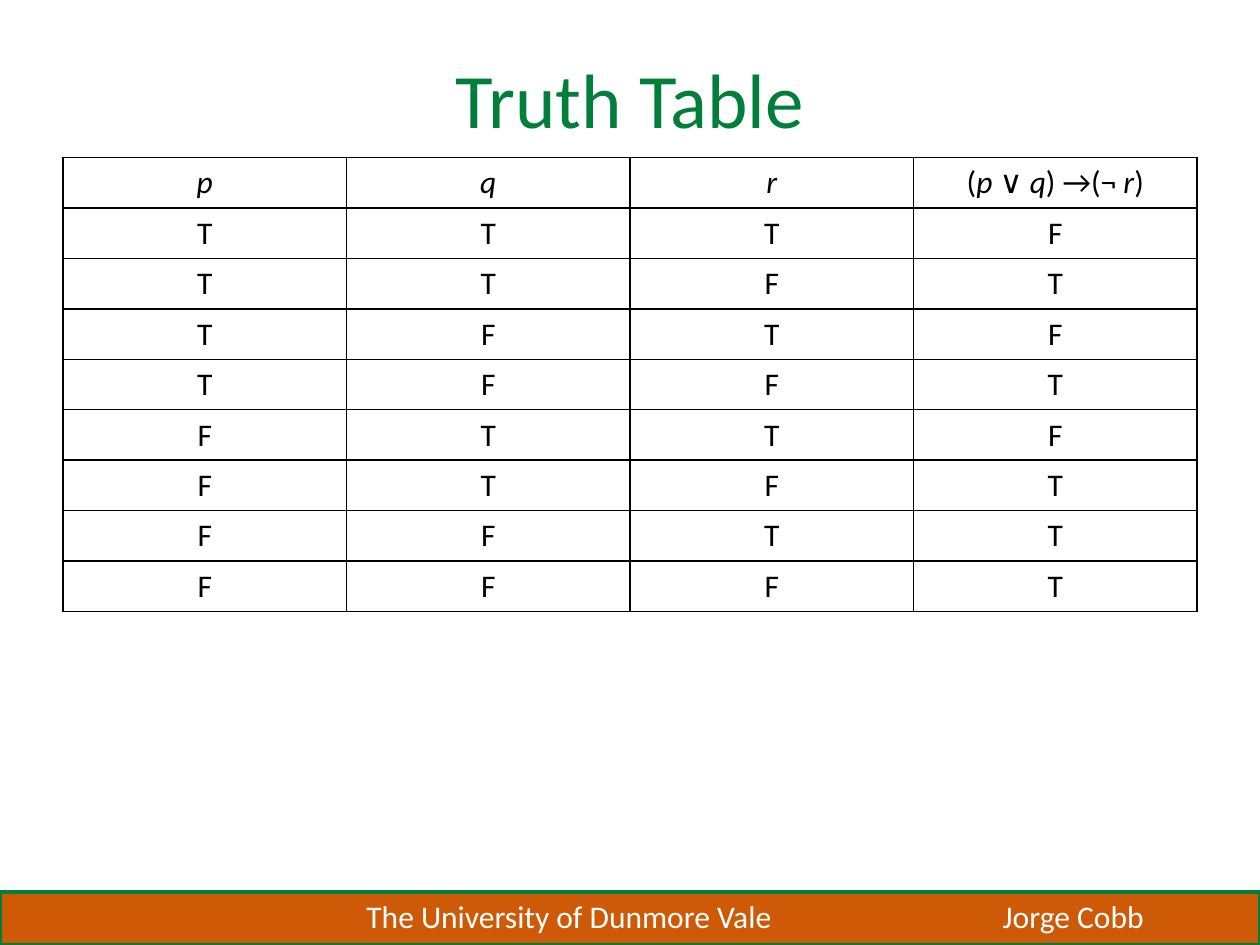
from dataclasses import dataclass
from itertools import groupby, product

from lxml import etree
from pptx import Presentation
from pptx import util as u
from pptx.dml.color import RGBColor
from pptx.enum import shapes, text
from pptx.oxml.ns import qn

GREEN = RGBColor(0x00, 0x7E, 0x3A)
ORANGE = RGBColor(0xCE, 0x5A, 0x08)
WHITE = RGBColor(0xFF, 0xFF, 0xFF)
BLACK = RGBColor(0x00, 0x00, 0x00)

WIDTH, HEIGHT = u.Inches(10), u.Inches(7.5)
MARGIN = u.Inches(0.5)
TABLE_TOP, ROW_HEIGHT = u.Inches(1.25), u.Inches(0.4)
BAR_HEIGHT = u.Inches(0.42)
HEADERS = ("p", "q", "r", "(p ∨ q) →(¬ r)")


@dataclass(frozen=True)
class Label:
    """A text box; lengths are in inches."""
    words: str
    left: float
    top: float
    width: float
    height: float
    size: int
    color: RGBColor
    align: text.PP_ALIGN = text.PP_ALIGN.LEFT
    anchor: text.MSO_ANCHOR = text.MSO_ANCHOR.TOP
    wrap: bool = False


LABELS = (
    Label("The University of Dunmore Vale", 2.81, 7.07, 3.47, 0.4, 18, WHITE),
    Label("Jorge Cobb", 7.86, 7.07, 1.34, 0.4, 18, WHITE),
    Label("Truth Table", 0.5, 0.3, 9, 0.95, 44, GREEN,
          text.PP_ALIGN.CENTER, text.MSO_ANCHOR.MIDDLE, True),
)


def add_span(para, words: str, size: int, color: RGBColor, italic: bool = False) -> None:
    span = para.add_run()
    span.text = words
    formats = {"name": "Calibri", "size": u.Pt(size), "italic": italic}
    for name, value in formats.items():
        setattr(span.font, name, value)
    span.font.color.rgb = color


def add_label(page, label: Label) -> None:
    place = (label.left, label.top, label.width, label.height)
    frame = page.shapes.add_textbox(*map(u.Inches, place)).text_frame
    formats = {"word_wrap": label.wrap, "vertical_anchor": label.anchor}
    for name, value in formats.items():
        setattr(frame, name, value)
    para = frame.paragraphs[0]
    para.alignment = label.align
    add_span(para, label.words, label.size, label.color)


def add_footer_bar(page) -> None:
    bar = page.shapes.add_shape(
        shapes.MSO_SHAPE.RECTANGLE, 0, HEIGHT - BAR_HEIGHT, WIDTH, BAR_HEIGHT)
    bar.shadow.inherit = False
    bar.fill.solid()
    bar.fill.fore_color.rgb = ORANGE
    bar.line.color.rgb = GREEN
    bar.line.width = u.Pt(2)


def add_borders(cell) -> None:
    properties = cell._tc.get_or_add_tcPr()
    for position, side in enumerate(("lnL", "lnR", "lnT", "lnB")):
        line = etree.Element(qn(f"a:{side}"), w=str(u.Pt(1)))
        fill = etree.SubElement(line, qn("a:solidFill"))
        etree.SubElement(fill, qn("a:srgbClr"), val=str(BLACK))
        properties.insert(position, line)


def fill_cell(cell, words: str, is_header: bool) -> None:
    cell.fill.background()
    add_borders(cell)
    para = cell.text_frame.paragraphs[0]
    para.alignment = text.PP_ALIGN.CENTER
    # Variables in the header are italic, symbols are upright
    for is_variable, letters in groupby(words, str.isalpha):
        add_span(para, "".join(letters), 18, BLACK, is_header and is_variable)


def truth_rows() -> list[tuple[str, ...]]:
    rows = []
    for p, q, r in product((True, False), repeat=3):
        result = not (p or q) or not r
        rows.append(tuple("T" if value else "F" for value in (p, q, r, result)))
    return rows


def add_truth_table(page) -> None:
    rows = [HEADERS, *truth_rows()]
    table = page.shapes.add_table(
        len(rows), len(HEADERS), MARGIN, TABLE_TOP,
        WIDTH - 2 * MARGIN, ROW_HEIGHT * len(rows)).table
    table.first_row = table.horz_banding = False
    for row, values in enumerate(rows):
        for column, words in enumerate(values):
            fill_cell(table.cell(row, column), words, row == 0)


def main() -> None:
    deck = Presentation()
    deck.slide_width, deck.slide_height = WIDTH, HEIGHT
    page = deck.slides.add_slide(deck.slide_layouts[6])
    # Footer, title, then table
    add_footer_bar(page)
    for label in LABELS:
        add_label(page, label)
    add_truth_table(page)
    deck.save("out.pptx")


if __name__ == "__main__":
    main()
